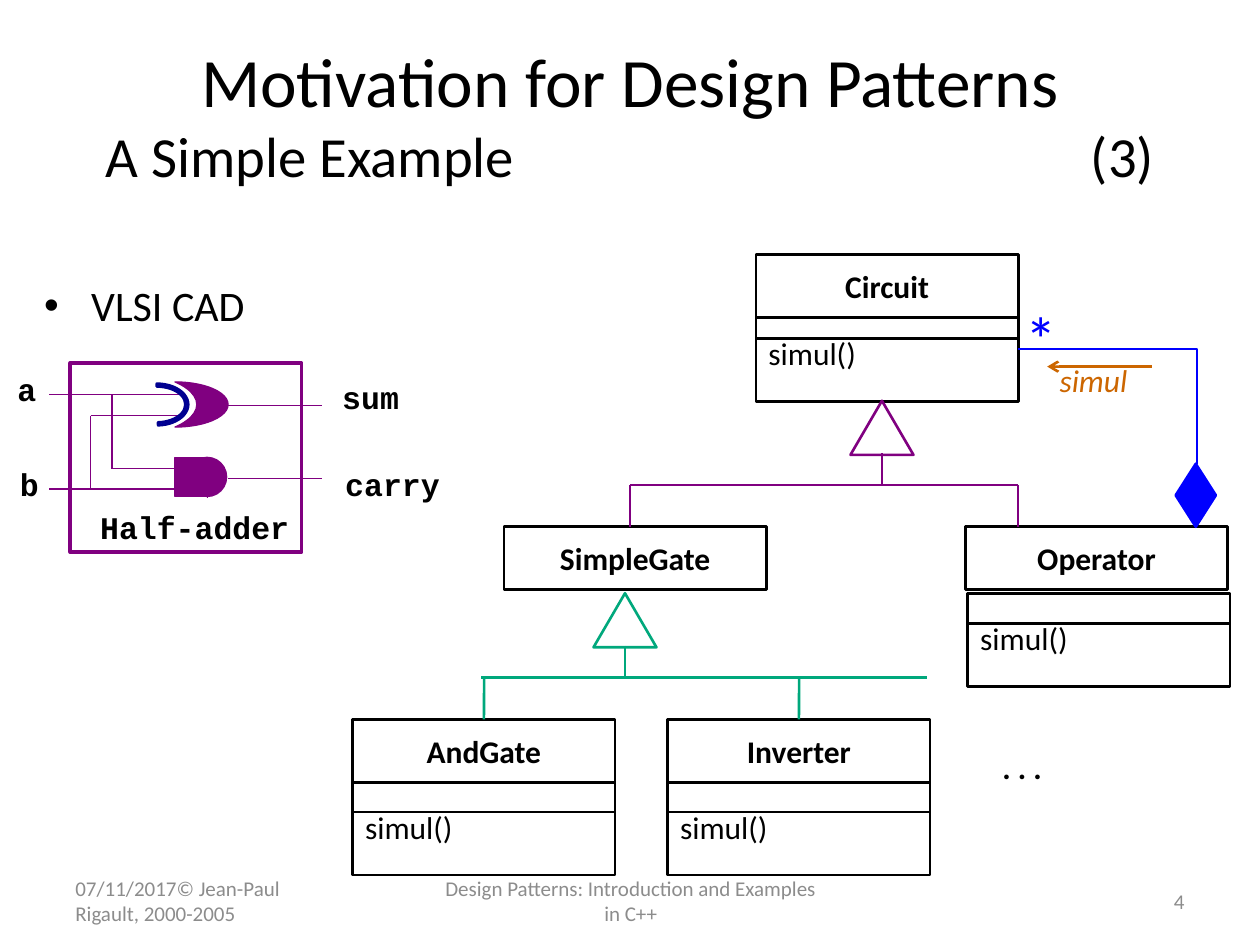
from lxml.etree import SubElement as Sub
from pptx import Presentation
from pptx.dml.color import RGBColor as Rgb
from pptx.enum.shapes import MSO_CONNECTOR as Con, MSO_SHAPE as Kind
from pptx.enum.text import MSO_ANCHOR as Anchor, MSO_AUTO_SIZE as Auto, PP_ALIGN as Align
from pptx.oxml.ns import qn
from pptx.util import Cm, Pt

INK = {"black": "000000", "gray": "8C8C8C", "purple": "800080", "green": "00A87C",
       "blue": "0000FF", "navy": "000090", "orange": "CC6600"}
MONO = dict(name="Courier New", size=Pt(18), bold=True)
HEAD = dict(name="Calibri", size=Pt(18), bold=True)
BODY = dict(name="Calibri", size=Pt(18))
FOOT = dict(name="Calibri", size=Pt(12))

deck = Presentation()
deck.slide_width, deck.slide_height = Cm(25.4), Cm(19.05)
slide = deck.slides.add_slide(deck.slide_layouts[5])
shapes = slide.shapes


def put(kind, x, y, w, h, text="", font=BODY, ink="black", fill=None, line=None,
        width=1.5, anchor=Anchor.TOP, wrap=True, para=None):
    """Add a preset shape, or a text box when kind is None."""
    box = [Cm(v) for v in (x, y, w, h)]
    if kind is None:
        item = shapes.add_textbox(*box)
    else:
        item = shapes.add_shape(kind, *box)
        item.shadow.inherit = False
        item.line.color.rgb = Rgb.from_string(INK[line])
        item.line.width = Pt(width)
        if fill:
            item.fill.solid()
            item.fill.fore_color.rgb = Rgb.from_string(INK[fill])
        else:
            item.fill.background()
    if text:
        frame = item.text_frame
        frame.word_wrap, frame.vertical_anchor = wrap, anchor
        row = frame.paragraphs[0]
        for key, val in {"alignment": Align.LEFT, **(para or {})}.items():
            setattr(row, key, val)
        run = row.add_run()
        run.text = text
        run.font.color.rgb = Rgb.from_string(INK[ink])
        for key, val in font.items():
            setattr(run.font, key, val)
    return item


def link(x1, y1, x2, y2, ink, width=1.5):
    """Add a straight line without a shadow."""
    wire = shapes.add_connector(Con.STRAIGHT, Cm(x1), Cm(y1), Cm(x2), Cm(y2))
    wire.line.color.rgb = Rgb.from_string(INK[ink])
    wire.line.width = Pt(width)
    Sub(wire._element.spPr, qn("a:effectLst"))
    return wire


# Title in two lines, the number set by a tab
title = shapes.title
title.left, title.top, title.width, title.height = Cm(1.27), Cm(0.76), Cm(22.86), Cm(3.18)
frame = title.text_frame
frame.auto_size, frame.vertical_anchor = Auto.NONE, Anchor.BOTTOM
row = frame.paragraphs[0]
row.alignment = Align.CENTER
for text, size in (("Motivation for Design Patterns", 39.6), ("A Simple Example \t(3)", 32.4)):
    if row.runs:
        row.add_line_break()
    run = row.add_run()
    run.text = text
    run.font.name, run.font.size = "Calibri", Pt(size)
    run.font.color.rgb = Rgb.from_string(INK["black"])
tabs = Sub(row._p.get_or_add_pPr(), qn("a:tabLst"))
Sub(tabs, qn("a:tab"), pos=str(Cm(21.13)), algn="r")

# Footer
for x, w, text, side in (
        (1.27, 5.92, "07/11/2017© Jean-Paul Rigault, 2000-2005", Align.LEFT),
        (8.69, 8.05, "Design Patterns: Introduction and Examples in C++", Align.CENTER),
        (18.21, 5.92, "4", Align.RIGHT)):
    put(None, x, 17.65, w, 1.02, text, FOOT, "gray", anchor=Anchor.MIDDLE,
        para=dict(alignment=side))

# Bullet
item = put(None, 0.64, 5.51, 10.59, 2.54, "VLSI CAD", dict(name="Calibri", size=Pt(24)),
           para=dict(space_before=Pt(4.8)))
props = item.text_frame.paragraphs[0]._p.get_or_add_pPr()
props.set("marL", str(Cm(0.95)))
props.set("indent", str(-Cm(0.95)))
Sub(props, qn("a:buFont"), typeface="Arial")
Sub(props, qn("a:buChar"), char="•")

# Half-adder: case and gates
put(Kind.RECTANGLE, 1.42, 7.32, 4.66, 3.81, "Half-adder", MONO, line="purple", width=2.25,
    anchor=Anchor.BOTTOM, para=dict(alignment=Align.RIGHT))
moon = put(Kind.MOON, 3.53, 7.7, 1.07, 0.91, fill="purple", line="purple", width=0.75)
moon.adjustments[0] = 0.59
moon._element.spPr.xfrm.set("flipH", "1")
put(Kind.OVAL, 3.78, 9.22, 0.79, 0.79, fill="purple", line="purple", width=0.75)
put(Kind.RECTANGLE, 3.53, 9.22, 0.66, 0.79, fill="purple", line="purple", width=0.75)

# Half-adder: wires
for ends in ((4.19, 9.22, 4.19, 10.03), (0.99, 7.95, 3.73, 7.95), (2.26, 9.45, 3.53, 9.45),
             (0.99, 9.86, 3.53, 9.86), (2.26, 9.45, 2.26, 7.95), (1.83, 8.38, 3.73, 8.38),
             (1.83, 8.38, 1.83, 9.86), (4.6, 8.18, 6.5, 8.18), (4.6, 9.65, 6.5, 9.65)):
    link(*ends, "purple", 0.75)

# Half-adder: pin names and the curve of the XOR gate
for text, x, y, w in (("sum", 6.65, 7.49, 1.65), ("carry", 6.71, 9.25, 2.41),
                      ("b", 0.15, 9.25, 0.89), ("a", 0.1, 7.34, 0.89)):
    put(None, x, y, w, 1.02, text, MONO, wrap=False)
arc = put(Kind.BLOCK_ARC, 2.74, 7.52, 0.84, 1.27, fill="blue", line="navy")
arc.rotation = 90
for i, val in enumerate((108, 213.79, 0.07)):
    arc.adjustments[i] = val

# Classes: name box, then attribute and method boxes (x, y, attribute height)
WIDE, HIGH = 5.29, 1.27
heads = {}
for name, x, y, part in (("Circuit", 15.24, 5.13, (15.24, 6.4, 0.42)),
                         ("SimpleGate", 10.16, 10.62, None),
                         ("Operator", 19.46, 10.62, (19.51, 11.96, 0.61)),
                         ("AndGate", 7.11, 14.5, (7.11, 15.77, 0.6)),
                         ("Inverter", 13.46, 14.5, (13.46, 15.77, 0.6))):
    heads[name] = put(Kind.RECTANGLE, x, y, WIDE, HIGH, name, HEAD, line="black",
                      anchor=Anchor.MIDDLE,
                      para=dict(alignment=Align.CENTER, space_before=Pt(3.6)))
    if part:
        px, py, ph = part
        put(Kind.RECTANGLE, px, py, WIDE, ph, line="black")
        put(Kind.RECTANGLE, px, py + ph, WIDE, HIGH, "simul()", line="black",
            para=dict(line_spacing=0.7, space_before=Pt(3.6)))

# Inheritance trees: triangle, stem, bar and drops
for ink, x, y, left, right, drops in (
        ("purple", 17.78, 8.08, 12.7, 20.52, ((12.7, None), (20.52, None))),
        ("green", 12.6, 11.96, 9.7, 18.69, ((9.76, "AndGate"), (16.11, "Inverter")))):
    bar = y + 1.7
    put(Kind.ISOSCELES_TRIANGLE, x - 0.635, y, 1.27, 1.09, line=ink)
    link(x, y + 1.06, x, bar, ink)
    link(left, bar, right, bar, ink)
    for dx, name in drops:
        drop = link(dx, bar, dx, y + 2.54, ink)
        if name:
            drop.end_connect(heads[name], 0)

# Aggregation from Operator to Circuit
put(Kind.DIAMOND, 23.47, 9.58, 1.27, 0.81, fill="blue", line="blue").rotation = 90
pen = shapes.build_freeform(Cm(24.13), Cm(9.35))
pen.add_line_segments([(Cm(24.13), Cm(7.04)), (Cm(20.52), Cm(7.04))], close=False)
path = pen.convert_to_shape()
path.shadow.inherit = False
path.fill.background()
path.line.color.rgb = Rgb.from_string(INK["blue"])
path.line.width = Pt(1.5)
put(None, 20.42, 5.92, 1.02, 1.8, "*", dict(name="Calibri", size=Pt(36)), "blue",
    wrap=False, para=dict(space_before=Pt(7.2)))

# Message arrow and remaining labels
arrow = link(23.22, 7.39, 21.11, 7.39, "orange")
Sub(arrow.line._get_or_add_ln(), qn("a:tailEnd"), type="arrow")
put(None, 21.11, 7.16, 2.16, 1.04, "simul", dict(BODY, italic=True), "orange",
    wrap=False, para=dict(space_before=Pt(3.6)))
put(None, 19.96, 14.96, 1.73, 1.45, ". . .", HEAD, wrap=False,
    para=dict(space_before=Pt(3.6)))

deck.save("out.pptx")
